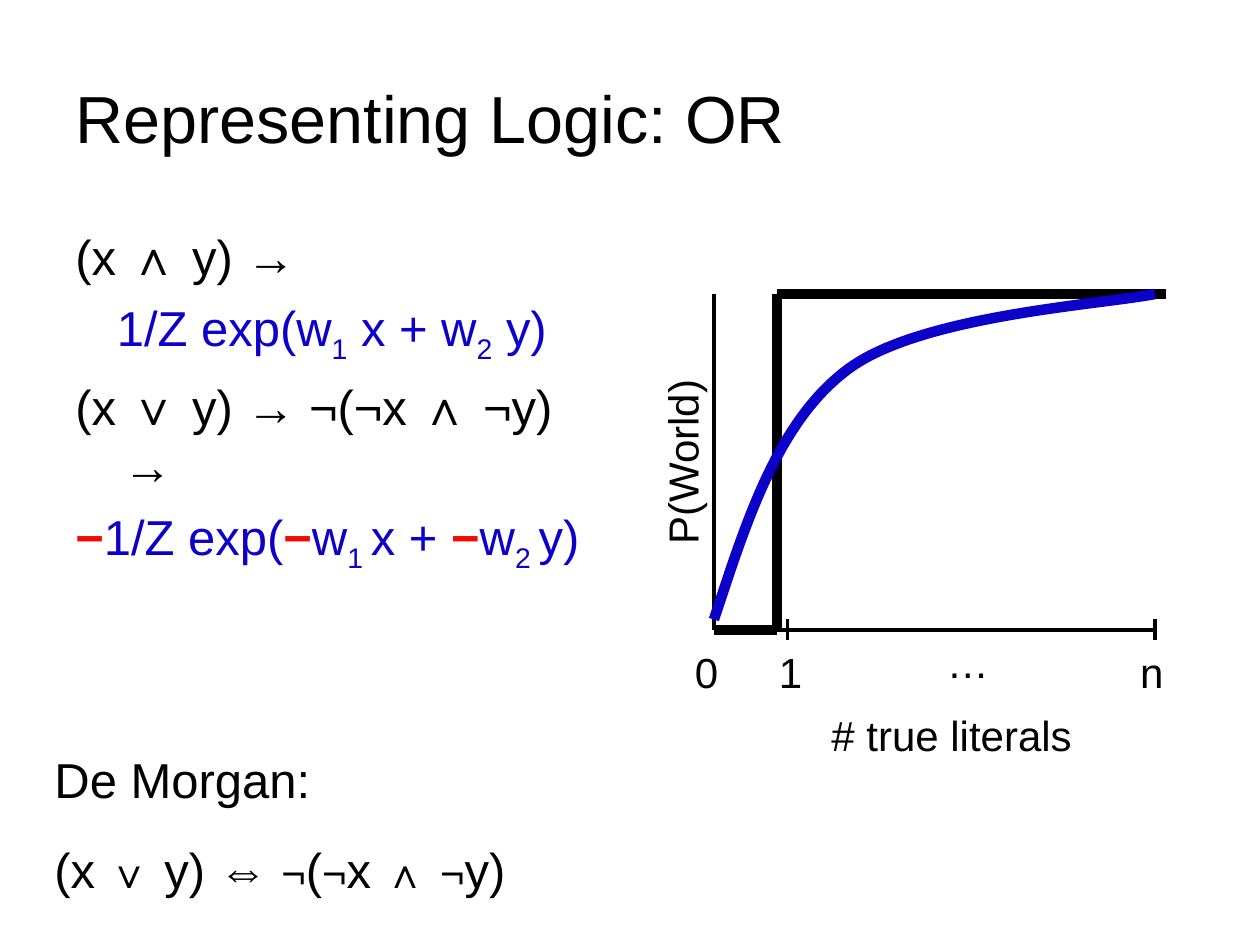
from dataclasses import dataclass
from lxml.etree import SubElement as Sub
from pptx import Presentation
from pptx.dml.color import RGBColor as Rgb
from pptx.enum.shapes import MSO_CONNECTOR as Conn
from pptx.enum.text import MSO_ANCHOR as Anchor, MSO_AUTO_SIZE as Fit
from pptx.oxml.ns import qn
from pptx.util import Inches, Pt


@dataclass(frozen=True)
class Theme:
    font: str = "Arial"
    ink: str = "000000"
    blue: str = "0C00C9"
    red: str = "F40A05"
    title: float = 38
    body: float = 28
    label: float = 24
    thin: float = 2.25
    thick: float = 6


LOOK = Theme()
COLS, ROWS = 120, 90
LEFT, STEP, ONE, LAST, EDGE = 68, 74, 75, 110, 111
TOP, BASE = 28, 60


def cell(num):
    return Inches(num / 12)


def style(run, size, tint=LOOK.ink, bold=False, sub=False):
    font = run.font
    font.name, font.size, font.bold = LOOK.font, Pt(size), bold
    font.color.rgb = Rgb.from_string(tint)
    if sub:
        run._r.get_or_add_rPr().set("baseline", "-25000")


def add_box(slide, left, top, width, height, wrap=True):
    box = slide.shapes.add_textbox(*map(cell, (left, top, width, height)))
    box.text_frame.word_wrap = wrap
    return box


def add_label(slide, text, left, top, width, turn=0):
    box = add_box(slide, left, top, width, 6, wrap=False)
    box.rotation = turn
    frame = box.text_frame
    frame.auto_size = Fit.SHAPE_TO_FIT_TEXT
    frame.text = text
    style(frame.paragraphs[0].runs[0], LOOK.label)


def add_title(slide, text):
    frame = add_box(slide, 6, 3.6, 108, 15).text_frame
    frame.vertical_anchor = Anchor.MIDDLE
    frame.text = text
    style(frame.paragraphs[0].runs[0], LOOK.title)


def add_rows(frame, rows, gap):
    for num, parts in enumerate(rows):
        para = frame.add_paragraph() if num else frame.paragraphs[0]
        para.space_before = Pt(gap)
        for text, form in parts:
            run = para.add_run()
            run.text = text
            style(run, **form)


def indent(para, left, first):
    props = para._p.get_or_add_pPr()
    props.set("marL", str(Inches(left)))
    props.set("indent", str(Inches(first)))


def add_body(slide):
    ink = dict(size=LOOK.body)
    blue = dict(size=LOOK.body, tint=LOOK.blue)
    sub = dict(blue, sub=True)
    minus = ("−", dict(size=LOOK.body, tint=LOOK.red, bold=True))
    rows = [
        [("(x ∧ y) →", ink)],
        [("1/Z exp(w", blue), ("1", sub), (" x + w", blue), ("2", sub), (" y)", blue)],
        [("(x ∨ y) → ¬(¬x ∧ ¬y) →", ink)],
        [minus, ("1/Z exp(", blue), minus, ("w", blue), ("1 ", sub),
         ("x + ", blue), minus, ("w", blue), ("2 ", sub), ("y)", blue)],
    ]
    frame = add_box(slide, 6, 21, 53, 59.4).text_frame
    add_rows(frame, rows, 7)
    for num, para in enumerate(frame.paragraphs):
        indent(para, *((0.33, 0) if num == 1 else (0.38, -0.38)))


def add_law(slide):
    big, small = dict(size=LOOK.body), dict(size=LOOK.label)
    law = ["(x ", "∨", " y) ⇔ ", "¬", "(", "¬", "x ", "∧", " ", "¬", "y)"]
    rows = [
        [("De Morgan:", big)],
        [(text, small if text in "∨∧¬" else big) for text in law],
    ]
    frame = add_box(slide, 4, 70.8, 70, 15.4).text_frame
    frame.auto_size = Fit.SHAPE_TO_FIT_TEXT
    add_rows(frame, rows, 17.5)


def add_line(slide, ends, width):
    line = slide.shapes.add_connector(Conn.STRAIGHT, *map(cell, ends))
    line.line.color.rgb = Rgb.from_string(LOOK.ink)
    line.line.width = Pt(width)
    Sub(line._element.spPr, qn("a:effectLst"))


def add_curve(slide, start, knots):
    pen = slide.shapes.build_freeform(*start, scale=cell(1))
    pen.add_line_segments(knots, close=False)
    curve = pen.convert_to_shape()
    curve.shadow.inherit = False
    curve.fill.background()
    curve.line.color.rgb = Rgb.from_string(LOOK.blue)
    curve.line.width = Pt(LOOK.thick)
    steps = list(curve._element.iter(qn("a:lnTo")))
    route = steps[0].getparent()
    for num in range(0, len(steps), 3):
        bend = Sub(route, qn("a:cubicBezTo"))
        for step in steps[num:num + 3]:
            bend.append(step[0])
            route.remove(step)


def add_plot(slide):
    for ends in [(LEFT, TOP, LEFT, BASE), (LEFT, BASE, LAST, BASE)]:
        add_line(slide, ends, LOOK.thin)
    for tick in (ONE, LAST):
        add_line(slide, (tick, BASE - 1, tick, BASE + 1), LOOK.thin)
    for text, left in [("0", 65), ("1", 73), ("n", 107.4)]:
        add_label(slide, text, left, BASE + 1, 4.5)
    add_label(slide, "…", 89, BASE, 6.4)
    add_label(slide, "P(World)", 55.9, 41, 18.1, turn=270)
    add_label(slide, "# true literals", 78, 67, 25.3)
    stair = [(LEFT, BASE), (STEP, BASE), (STEP, TOP), (EDGE, TOP)]
    for tail, head in zip(stair, stair[1:]):
        add_line(slide, tail + head, LOOK.thick)
    add_curve(slide, (LEFT, BASE - 1), [
        (71, 49.6), (74, 40.2), (81, 35),
        (88, 29.9), (105.4, 29), (LAST, TOP),
    ])


def main():
    deck = Presentation()
    deck.slide_width, deck.slide_height = cell(COLS), cell(ROWS)
    slide = deck.slides.add_slide(deck.slide_layouts[6])
    add_title(slide, "Representing Logic: OR")
    add_body(slide)
    add_law(slide)
    add_plot(slide)
    deck.save("out.pptx")


if __name__ == "__main__":
    main()
